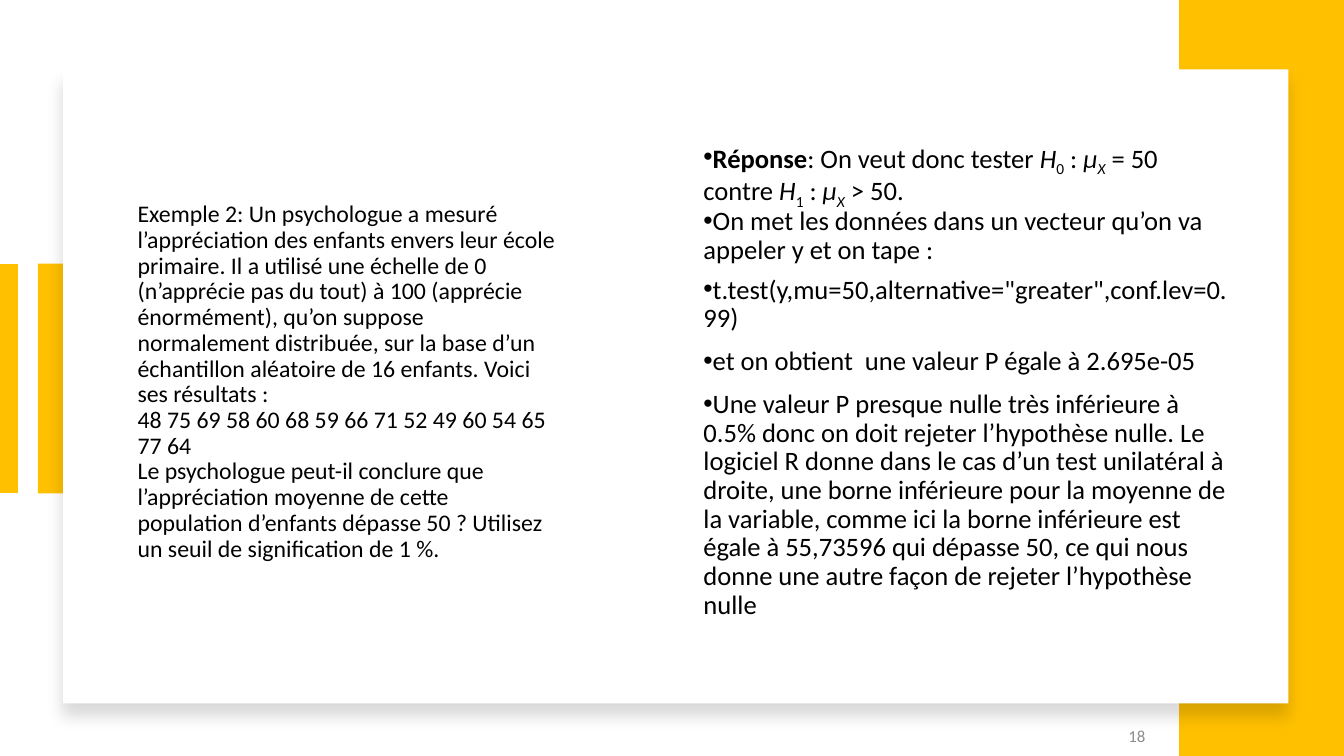
import pptx
import pptx.util
import pptx.dml.color
import pptx.enum.shapes
import pptx.enum.text
import lxml.etree

RGB = pptx.dml.color.RGBColor
GOLD = RGB(0xFF, 0xC0, 0x00)
WHITE = RGB(0xFF, 0xFF, 0xFF)
BLACK = RGB(0x00, 0x00, 0x00)
GREY = RGB(0x8C, 0x8C, 0x8C)
FACE = "Calibri"
ANCHOR = pptx.enum.text.MSO_ANCHOR
ALIGN = pptx.enum.text.PP_ALIGN
PX = 9525
NS = "http://schemas.openxmlformats.org/drawingml/2006/main"

CASE = [
    "Exemple 2: Un psychologue a mesuré l’appréciation des enfants envers leur école primaire. Il a utilisé une échelle de 0 (n’apprécie pas du tout) à 100 (apprécie énormément), qu’on suppose normalement distribuée, sur la base d’un échantillon aléatoire de 16 enfants. Voici ses résultats :",
    "48 75 69 58 60 68 59 66 71 52 49 60 54 65 77 64",
    "Le psychologue peut-il conclure que l’appréciation moyenne de cette population d’enfants dépasse 50 ? Utilisez un seuil de signification de 1 %.",
]
ANSWER = [
    (0, [("Réponse", "b"), (": On veut donc tester ", ""),
         ("H", "i"), ("0", "s"), (" : ", ""), ("µ", "i"), ("X", "is"),
         (" = 50 contre ", ""),
         ("H", "i"), ("1", "s"), (" : ", ""), ("µ", "i"), ("X", "is"),
         (" > 50.", "")]),
    (8, [("On met les données dans un vecteur qu’on va appeler y et on tape :", "")]),
    (10, [('t.test(y,mu=50,alternative="greater",conf.lev=0.99)', "")]),
    (10, [("et on obtient  une valeur P égale à 2.695e-05", "")]),
    (0, [("Une valeur P presque nulle très inférieure à 0.5% donc on doit rejeter l’hypothèse nulle. Le logiciel R donne dans le cas d’un test unilatéral à droite, une borne inférieure pour la moyenne de la variable, comme ici la borne inférieure est égale à 55,73596 qui dépasse 50, ce qui nous donne une autre façon de rejeter l’hypothèse nulle", "")]),
]
PAGE = "18"

BAND = (1123, 0, 157, 720)
TAB = (36, 251, 32, 219)
EDGE = (8, 251, 8, 470)
CARD = (60, 66, 1167, 604)
LEFT = (121, 131, 420, 491)
RIGHT = (660, 131, 523, 491)
FOOT = (904, 682, 197, 38)


def emu(box):
    return [n * PX for n in box]


def block(box, color):
    shape = slide.shapes.add_shape(
        pptx.enum.shapes.MSO_SHAPE.RECTANGLE, *emu(box))
    shape.shadow.inherit = False
    shape.fill.solid()
    shape.fill.fore_color.rgb = color
    shape.line.fill.background()
    return shape


def setup(shape, low):
    frame = shape.text_frame
    frame.word_wrap = True
    frame.auto_size = pptx.enum.text.MSO_AUTO_SIZE.NONE
    frame.vertical_anchor = ANCHOR.MIDDLE
    frame.margin_left = frame.margin_right = 10 * PX
    frame.margin_top = 5 * PX
    frame.margin_bottom = low * PX
    return frame


def write(para, text, size, color, style=""):
    run = para.add_run()
    run.text = text
    font = run.font
    font.name = FACE
    font.size = pptx.util.Pt(size)
    font.color.rgb = color
    font.bold = "b" in style
    font.italic = "i" in style
    if "s" in style:
        run._r.get_or_add_rPr().set("baseline", "-25000")


def bullet(para):
    props = para._p.get_or_add_pPr()
    props.set("marL", "0")
    props.set("indent", str(-24 * PX))
    lxml.etree.SubElement(props, f"{{{NS}}}buFont", typeface="Arial")
    lxml.etree.SubElement(props, f"{{{NS}}}buChar", char="•")


deck = pptx.Presentation()
deck.slide_width, deck.slide_height = 1280 * PX, 720 * PX
slide = deck.slides.add_slide(deck.slide_layouts[5])

block(TAB, GOLD)
edge = slide.shapes.add_connector(
    pptx.enum.shapes.MSO_CONNECTOR.STRAIGHT, *emu(EDGE))
edge.line.color.rgb = GOLD
edge.line.width = pptx.util.Pt(14)
lxml.etree.SubElement(edge._element.spPr, f"{{{NS}}}effectLst")
block(BAND, GOLD)

card = block(CARD, WHITE)
glow = card._element.spPr.find(f"{{{NS}}}effectLst")
shade = lxml.etree.SubElement(
    glow, f"{{{NS}}}outerShdw", blurRad=str(pptx.util.Pt(11)),
    dist=str(pptx.util.Pt(10)), dir="5400000", algn="t", rotWithShape="0")
tint = lxml.etree.SubElement(shade, f"{{{NS}}}srgbClr", val=str(BLACK))
lxml.etree.SubElement(tint, f"{{{NS}}}alpha", val="15000")

title = slide.shapes.title
slide.shapes._spTree.append(title._element)
title.left, title.top, title.width, title.height = emu(LEFT)
para = setup(title, 30).paragraphs[0]
para.alignment = ALIGN.LEFT
para.line_spacing = 0.9
for i, text in enumerate(CASE):
    if i:
        para.add_line_break()
    write(para, text, 17, BLACK)

frame = setup(slide.shapes.add_textbox(*emu(RIGHT)), 32)
for i, (gap, runs) in enumerate(ANSWER):
    para = frame.add_paragraph() if i else frame.paragraphs[0]
    para.line_spacing = 0.9
    para.space_after = pptx.util.Pt(gap)
    bullet(para)
    for text, style in runs:
        write(para, text, 19, BLACK, style)

para = setup(slide.shapes.add_textbox(*emu(FOOT)), 5).paragraphs[0]
para.alignment = ALIGN.RIGHT
write(para, PAGE, 12, GREY)

deck.save("out.pptx")
